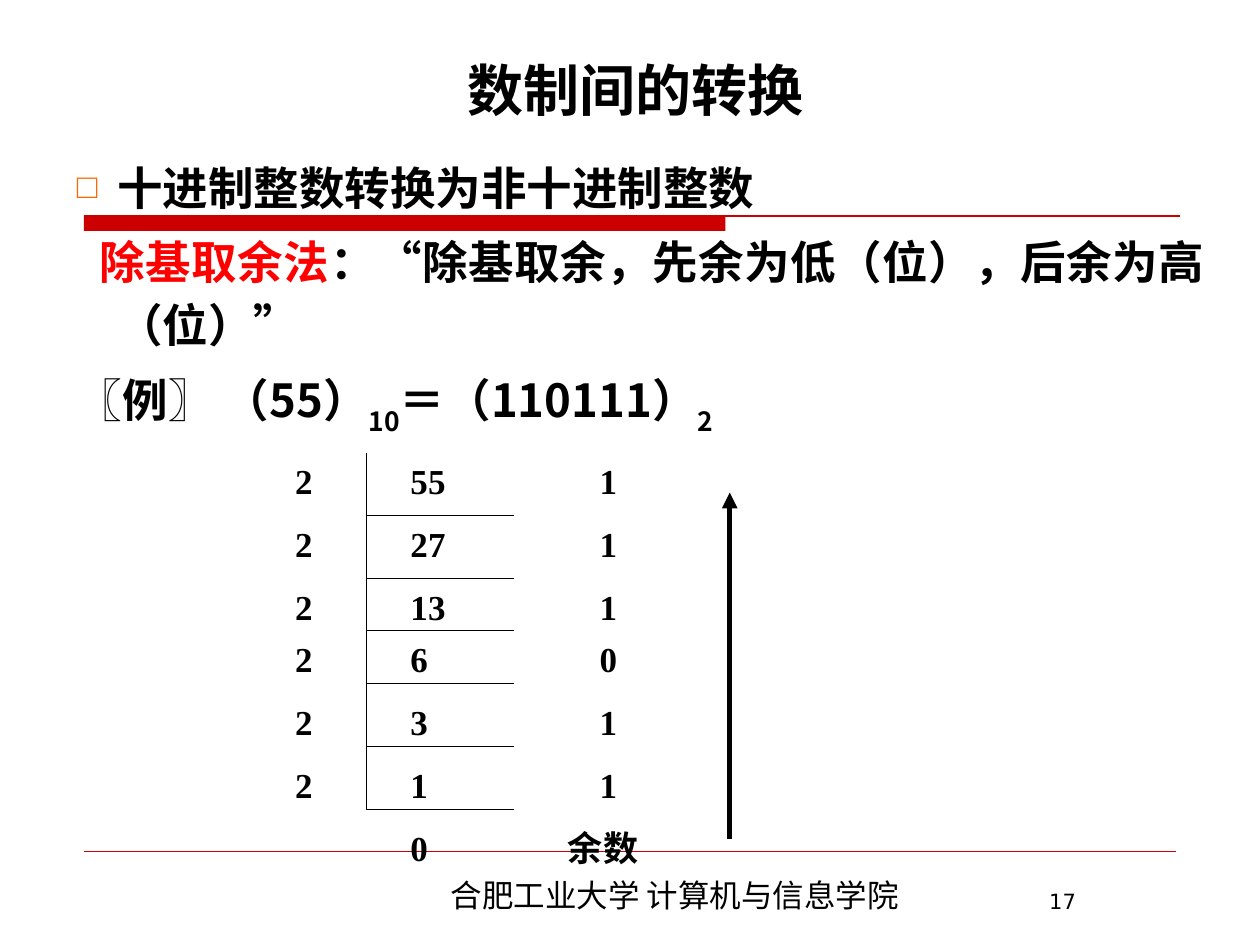
"""Build the slide on converting decimal integers by repeated division."""
from collections import namedtuple

from lxml import etree
from pptx import Presentation
from pptx.dml.color import RGBColor
from pptx.enum.shapes import MSO_CONNECTOR, MSO_SHAPE
from pptx.enum.text import MSO_ANCHOR, MSO_AUTO_SIZE, PP_ALIGN
from pptx.oxml.ns import qn
from pptx.util import Pt

Theme = namedtuple("Theme", "ink rule accent bullet sans serif title body cell footer number")
theme = Theme(
    ink="000000", rule="CC0000", accent="FF0000", bullet="FF6600",
    sans="Noto Sans CJK SC", serif="Times New Roman",
    title=32, body=26, cell=20, footer=18, number=12,
)


def style(run, size, latin, color=theme.ink, bold=True):
    run.font.size = Pt(size)
    run.font.name = latin
    run.font.bold = bold
    run.font.color.rgb = RGBColor.from_string(color)
    etree.SubElement(run._r.get_or_add_rPr(), qn("a:ea"), typeface=theme.sans)


def draw_line(x1, y1, x2, y2, color=theme.ink, width=0.75):
    line = slide.shapes.add_connector(
        MSO_CONNECTOR.STRAIGHT, Pt(x1), Pt(y1), Pt(x2), Pt(y2))
    line.line.color.rgb = RGBColor.from_string(color)
    line.line.width = Pt(width)
    etree.SubElement(line._element.spPr, qn("a:effectLst"))
    return line


deck = Presentation()
deck.slide_width, deck.slide_height = Pt(720), Pt(540)
slide = deck.slides.add_slide(deck.slide_layouts[1])

title = slide.shapes.title
title.left, title.top, title.width, title.height = Pt(48.4), Pt(15), Pt(630), Pt(59)
title.text_frame.text = "数制间的转换"
title.text_frame.vertical_anchor = MSO_ANCHOR.BOTTOM
title.text_frame.paragraphs[0].alignment = PP_ALIGN.CENTER
style(title.text_frame.paragraphs[0].runs[0], theme.title, theme.sans)

method = slide.placeholders[1]
method.left, method.top, method.width, method.height = Pt(36.8), Pt(83), Pt(659), Pt(402)
method.text_frame.auto_size = MSO_AUTO_SIZE.NONE
statements = [
    (-23, [("十进制整数转换为非十进制整数", {})]),
    (-10, [("除基取余法", {"color": theme.accent}), ("：", {}),
           ("“", {"latin": theme.serif}),
           ("除基取余，先余为低（位），后余为高（位）", {}),
           ("”", {"latin": theme.serif})]),
    (-23, [("〖例〗 （55）", {}), ("10", {"baseline": -30000}),
           ("＝（110111）", {}), ("2", {"baseline": -30000})]),
]
for order, (indent, pieces) in enumerate(statements):
    frame = method.text_frame
    statement = frame.add_paragraph() if order else frame.paragraphs[0]
    statement.alignment = PP_ALIGN.JUSTIFY
    statement.line_spacing = 1.15
    statement.space_before = Pt(6.5 if order else 0)
    settings = statement._p.get_or_add_pPr()
    settings.set("marL", str(Pt(23)))
    settings.set("indent", str(Pt(indent)))
    if order:
        etree.SubElement(settings, qn("a:buNone"))
    else:
        bullet_color = etree.SubElement(settings, qn("a:buClr"))
        etree.SubElement(bullet_color, qn("a:srgbClr"), val=theme.bullet)
        etree.SubElement(settings, qn("a:buSzPct"), val="75000")
        etree.SubElement(settings, qn("a:buChar"), char="□")
    for wording, look in pieces:
        piece = statement.add_run()
        piece.text = wording
        style(piece, theme.body, look.get("latin", theme.sans),
              look.get("color", theme.ink))
        if "baseline" in look:
            piece.font._element.set("baseline", str(look["baseline"]))

title_bar = slide.shapes.add_shape(
    MSO_SHAPE.RECTANGLE, Pt(48), Pt(123), Pt(366.5), Pt(9))
title_bar.shadow.inherit = False
title_bar.fill.solid()
title_bar.fill.fore_color.rgb = RGBColor.from_string(theme.rule)
title_bar.line.fill.background()
draw_line(48, 123.4, 674.5, 123.4, theme.rule, 1)
draw_line(48, 486.2, 672, 486.2, theme.rule, 0.25)

row_tops = [258.8, 294.8, 330.8, 360.8, 396.8, 432.8, 468.8]
step_lines = [294.5, 330.5, 360.5, 390.6, 426.6, 462.6]
draw_line(209.5, row_tops[0], 209.5, step_lines[-1])
for y in step_lines:
    draw_line(209.5, y, 293.5, y)

labels = [("合肥工业大学 计算机与信息学院", 167.6, 497, 436, 29,
           theme.footer, theme.sans, False, PP_ALIGN.CENTER),
          ("17", 592.5, 504, 108, 21,
           theme.number, "DejaVu Sans", False, PP_ALIGN.LEFT)]
division = [("2", "55", "1"), ("2", "27", "1"), ("2", "13", "1"), ("2", "6", "0"),
            ("2", "3", "1"), ("2", "1", "1"), ("", "0", "余数")]
for top, (divisor, quotient, remainder) in zip(row_tops, division):
    remainder_left, remainder_width = (335.5, 24) if remainder.isdigit() else (317.5, 72)
    for wording, left, width in [(divisor, 161.5, 24), (quotient, 227.5, 42),
                                 (remainder, remainder_left, remainder_width)]:
        if wording:
            labels.append((wording, left, top, width, 31.5,
                           theme.cell, theme.serif, True, PP_ALIGN.LEFT))

for wording, left, top, width, height, size, face, bold, alignment in labels:
    label = slide.shapes.add_textbox(Pt(left), Pt(top), Pt(width), Pt(height))
    label.text_frame.word_wrap = True
    label.text_frame.text = wording
    label.text_frame.paragraphs[0].alignment = alignment
    style(label.text_frame.paragraphs[0].runs[0], size, face, bold=bold)

reading_order = draw_line(417, 479.5, 417, 281.5, width=3)
etree.SubElement(reading_order.line._get_or_add_ln(), qn("a:tailEnd"), type="triangle")

deck.save("out.pptx")
